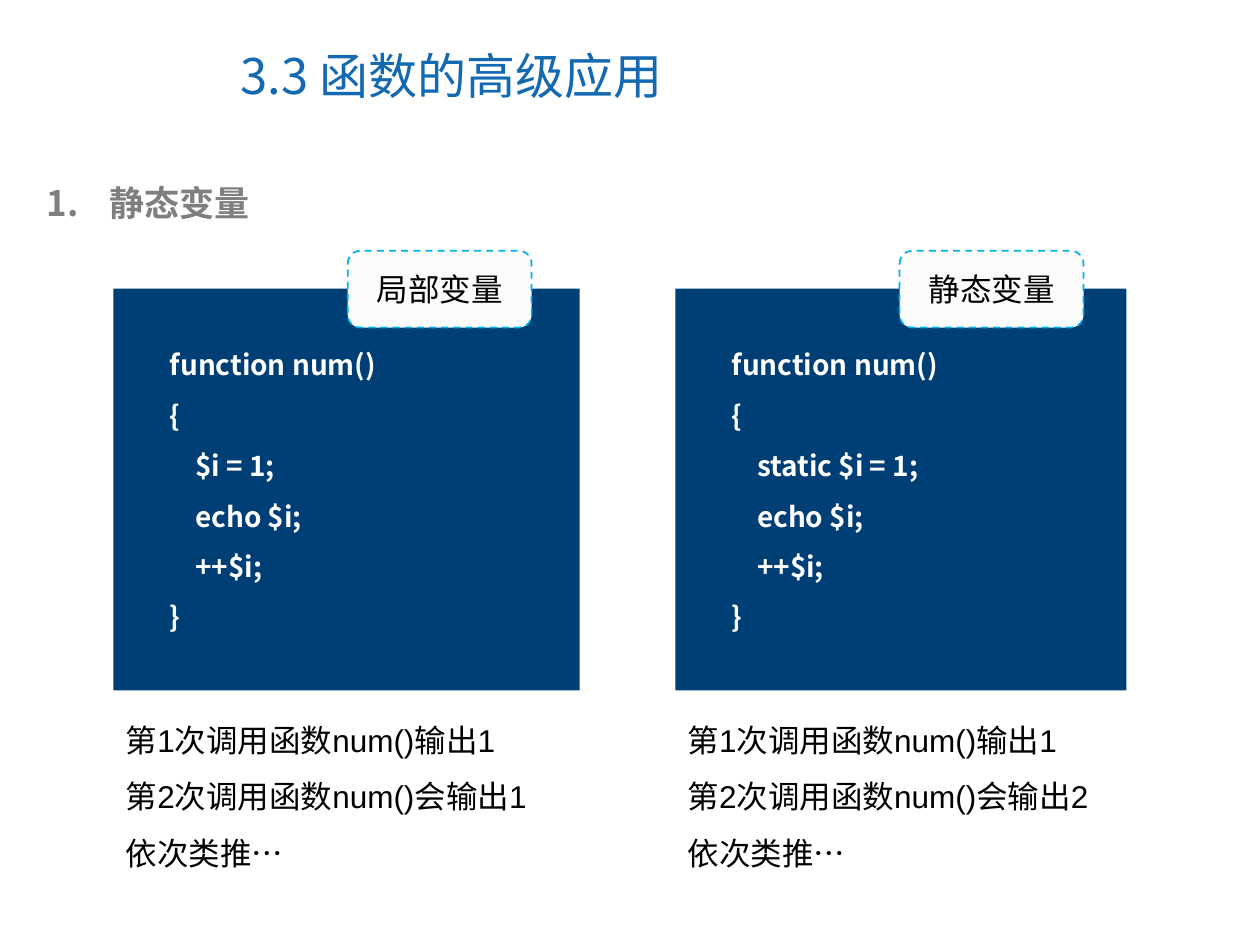
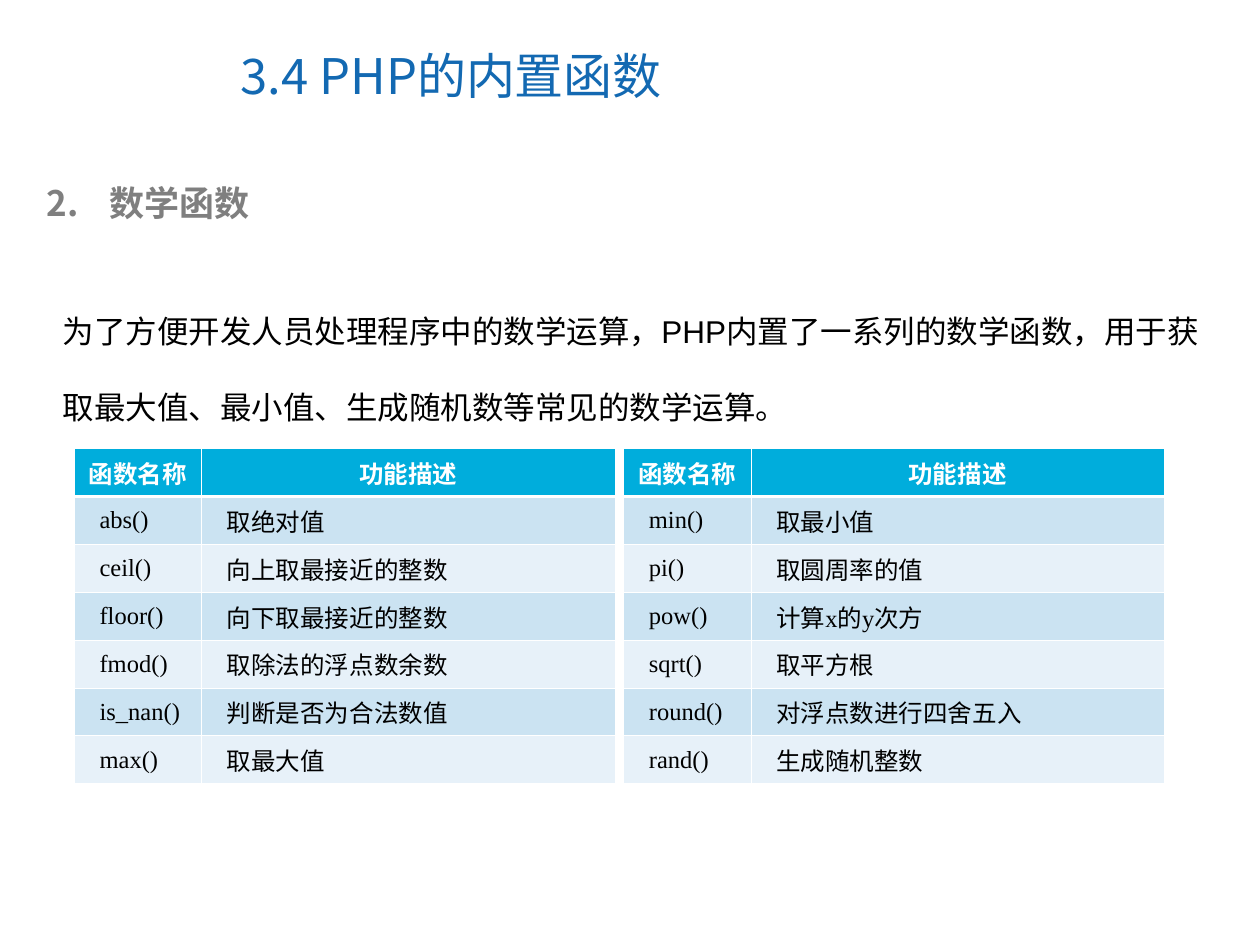
from lxml.etree import SubElement
from pptx import Presentation
from pptx.dml.color import RGBColor
from pptx.enum.dml import MSO_LINE
from pptx.enum.shapes import MSO_SHAPE
from pptx.enum.text import MSO_ANCHOR, MSO_AUTO_SIZE, PP_ALIGN
from pptx.oxml.ns import qn
from pptx.util import Inches, Pt

COLORS = {
    "title": "1369B2",
    "heading": "7F7F7F",
    "panel": "003F75",
    "tag": "FBFBFB",
    "tag_line": "00B4E9",
    "table_header": "00ADDC",
    "row_odd": "CBE3F2",
    "row_even": "E7F1F9",
    "text": "000000",
    "white": "FFFFFF",
}
CHINESE_FONT = "Noto Sans CJK SC"
BODY_FONT = "Arial"
TABLE_FONT = "Times New Roman"
COLUMN_WIDTHS = (1.01, 3.28)
ROW_HEIGHT = 0.38
LEFT_FUNCTIONS = [
    ("abs()", "取绝对值"),
    ("ceil()", "向上取最接近的整数"),
    ("floor()", "向下取最接近的整数"),
    ("fmod()", "取除法的浮点数余数"),
    ("is_nan()", "判断是否为合法数值"),
    ("max()", "取最大值"),
]
RIGHT_FUNCTIONS = [
    ("min()", "取最小值"),
    ("pi()", "取圆周率的值"),
    ("pow()", "计算x的y次方"),
    ("sqrt()", "取平方根"),
    ("round()", "对浮点数进行四舍五入"),
    ("rand()", "生成随机整数"),
]


def color(name):
    return RGBColor.from_string(COLORS[name])


def add_run(paragraph, text, size, color_name="text", font_name=BODY_FONT, bold=False):
    run = paragraph.add_run()
    run.text = text
    run.font.size = Pt(size)
    run.font.bold = bold
    run.font.color.rgb = color(color_name)
    run.font.name = font_name
    SubElement(run.font._element, qn("a:ea"), typeface=CHINESE_FONT)


def add_lines(shapes, box, lines, size, spacing, **style):
    shape = shapes.add_textbox(*map(Inches, box))
    frame = shape.text_frame
    frame.word_wrap = True
    for index, line in enumerate(lines):
        paragraph = frame.add_paragraph() if index else frame.paragraphs[0]
        paragraph.line_spacing = spacing
        add_run(paragraph, line, size, **style)


def place(shape, box):
    shape.left, shape.top, shape.width, shape.height = map(Inches, box)


def add_topic_slide(presentation, title, number, heading):
    slide = presentation.slides.add_slide(presentation.slide_layouts[1])
    title_shape, heading_shape = slide.placeholders
    place(title_shape, (1.81, 0.17, 5.16, 0.85))
    place(heading_shape, (0.27, 1.39, 9.22, 0.44))
    for shape, anchor in ((title_shape, MSO_ANCHOR.MIDDLE), (heading_shape, MSO_ANCHOR.TOP)):
        shape.text_frame.auto_size = MSO_AUTO_SIZE.NONE
        shape.text_frame.vertical_anchor = anchor
    title_paragraph = title_shape.text_frame.paragraphs[0]
    title_paragraph.alignment = PP_ALIGN.LEFT
    add_run(title_paragraph, title, 28, "title", CHINESE_FONT)

    paragraph = heading_shape.text_frame.paragraphs[0]
    paragraph.space_before = Pt(0)
    properties = paragraph._p.get_or_add_pPr()
    properties.set("marL", str(Inches(0.5)))
    properties.set("indent", str(-Inches(0.5)))
    SubElement(properties, qn("a:buFont"), typeface="+mj-lt")
    SubElement(properties, qn("a:buAutoNum"), type="arabicPeriod", startAt=str(number))
    add_run(paragraph, heading, 20, "heading", CHINESE_FONT, True)
    return slide


def add_code_example(slide, left, top, width, tag_offset, tag, assignment, second_output):
    group = slide.shapes.add_group_shape()
    panel = group.shapes.add_shape(
        MSO_SHAPE.RECTANGLE, *map(Inches, (left, top, width, 3.19)))
    panel.shadow.inherit = False
    panel.fill.solid()
    panel.fill.fore_color.rgb = color("panel")
    panel.line.fill.background()
    code = ["function num()", "{", f"    {assignment}", "    echo $i;", "    ++$i;", "}"]
    add_lines(group.shapes, (left + 0.35, top + 0.29, width - 0.35, 2.5), code, 16, 1.5,
              color_name="white", font_name=CHINESE_FONT, bold=True)

    results = ["第1次调用函数num()输出1", f"第2次调用函数num()会输出{second_output}", "依次类推…"]
    add_lines(slide.shapes, (left, top + 3.23, 3.93, 1.45), results, 18, 1.5)

    label = slide.shapes.add_shape(
        MSO_SHAPE.ROUNDED_RECTANGLE, *map(Inches, (left + tag_offset, top - 0.3, 1.46, 0.61)))
    label.shadow.inherit = False
    label.fill.solid()
    label.fill.fore_color.rgb = color("tag")
    label.line.color.rgb = color("tag_line")
    label.line.width = Pt(1)
    label.line.dash_style = MSO_LINE.DASH
    label.text_frame.vertical_anchor = MSO_ANCHOR.MIDDLE
    paragraph = label.text_frame.paragraphs[0]
    paragraph.alignment = PP_ALIGN.CENTER
    add_run(paragraph, tag, 18)


def format_cell(cell, fill_name, top_width, bottom_width):
    properties = cell._tc.get_or_add_tcPr()
    widths = {"lnL": 0.45, "lnR": 0.45, "lnT": top_width, "lnB": bottom_width}
    for side, width in widths.items():
        line = SubElement(properties, qn(f"a:{side}"), w=str(Pt(width)))
        fill = SubElement(line, qn("a:solidFill"))
        SubElement(fill, qn("a:srgbClr"), val=COLORS["white"])
    cell.fill.solid()
    cell.fill.fore_color.rgb = color(fill_name)
    cell.vertical_anchor = MSO_ANCHOR.MIDDLE
    cell.margin_left = cell.margin_right = Inches(0.08)


def add_function_table(slide, left, top, functions):
    rows = [("函数名称", "功能描述"), *functions]
    box = (left, top, sum(COLUMN_WIDTHS), ROW_HEIGHT * len(rows))
    table = slide.shapes.add_table(len(rows), 2, *map(Inches, box)).table
    for column, width in zip(table.columns, COLUMN_WIDTHS):
        column.width = Inches(width)
    for row_index, values in enumerate(rows):
        is_header = row_index == 0
        band = "row_odd" if row_index % 2 else "row_even"
        for column_index, value in enumerate(values):
            cell = table.cell(row_index, column_index)
            format_cell(cell, "table_header" if is_header else band,
                        1.47 if row_index == 1 else 0.45, 1.47 if is_header else 0.45)
            paragraph = cell.text_frame.paragraphs[0]
            if is_header:
                paragraph.alignment = PP_ALIGN.CENTER
                add_run(paragraph, value, 14, "white", bold=True)
            else:
                paragraph.alignment = PP_ALIGN.JUSTIFY
                paragraph._p.get_or_add_pPr().set("marL", str(Inches(0.12)))
                add_run(paragraph, value, 14, font_name=TABLE_FONT)


def build_static_variable_slide(presentation):
    slide = add_topic_slide(presentation, "3.3 函数的高级应用", 1, "静态变量")
    add_code_example(slide, 0.9, 2.29, 3.7, 1.86, "局部变量", "$i = 1;", 1)
    add_code_example(slide, 5.36, 2.29, 3.58, 1.78, "静态变量", "static $i = 1;", 2)


def build_math_function_slide(presentation):
    slide = add_topic_slide(presentation, "3.4 PHP的内置函数", 2, "数学函数")
    introduction = (
        "为了方便开发人员处理程序中的数学运算，PHP内置了一系列的数学函数，"
        "用于获取最大值、最小值、生成随机数等常见的数学运算。"
    )
    add_lines(slide.shapes, (0.4, 2.13, 9.32, 1.3), [introduction], 18, 2.0)
    add_function_table(slide, 0.59, 3.56, LEFT_FUNCTIONS)
    add_function_table(slide, 4.95, 3.56, RIGHT_FUNCTIONS)


def main():
    presentation = Presentation()
    presentation.slide_width = Inches(10)
    presentation.slide_height = Inches(7.5)
    build_static_variable_slide(presentation)
    build_math_function_slide(presentation)
    presentation.save("out.pptx")


if __name__ == "__main__":
    main()
